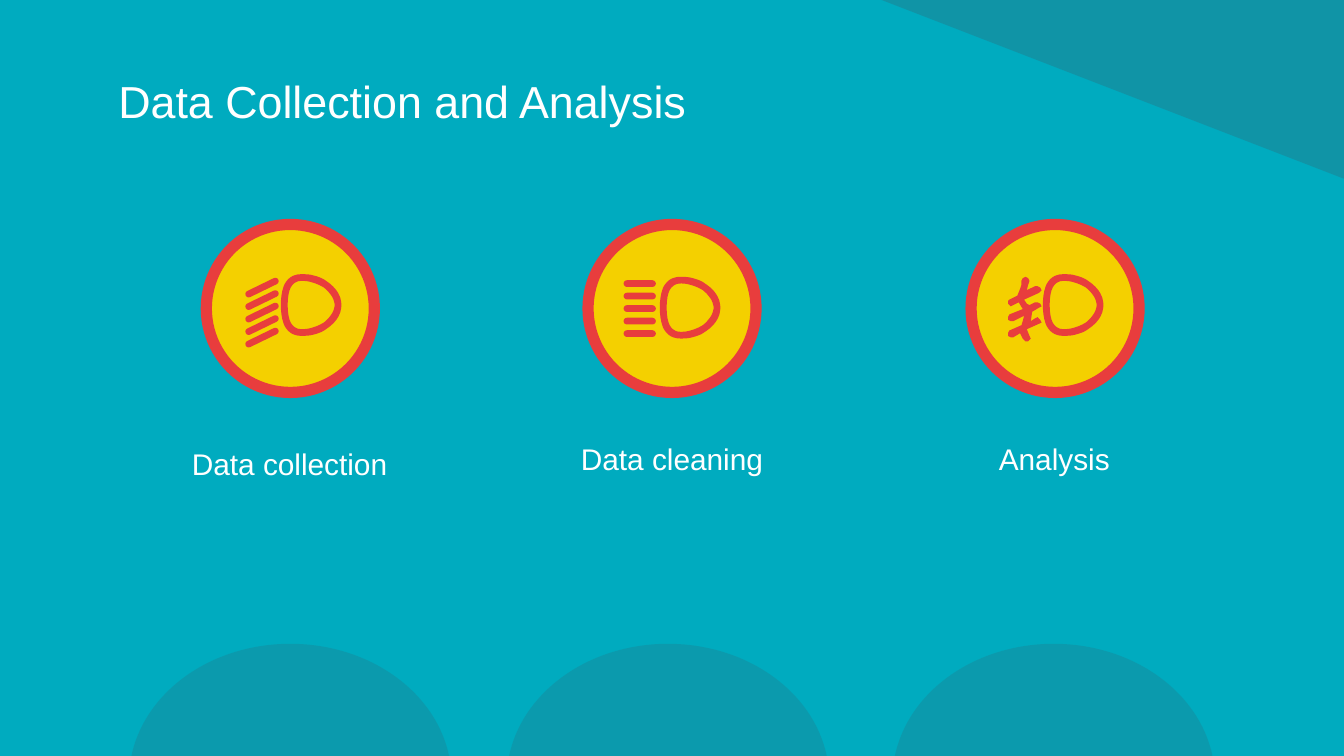
from lxml.etree import SubElement
from pptx import Presentation
from pptx.dml.color import RGBColor
from pptx.enum.shapes import MSO_SHAPE
from pptx.enum.text import MSO_ANCHOR, MSO_AUTO_SIZE, PP_ALIGN
from pptx.oxml.ns import qn
from pptx.util import Inches, Pt

WHITE, TEAL, SHADE, YELLOW, RED = "FFFFFF", "00ABBF", "336574", "F4D000", "E83D3D"
COLUMNS = [2.16, 5, 7.85]  # centre of each column
ICON_TOP, ICON_SIZE = 1.67, 1.25
BEAM_GAP = 0.093


def paint(sp, color, alpha=None, line=None):
    """Fill a shape, optionally translucent or with a (colour, width) outline."""
    sp.shadow.inherit = False
    sp.fill.solid()
    sp.fill.fore_color.rgb = RGBColor.from_string(color)
    if alpha:
        clr = sp._element.spPr.find(qn("a:solidFill"))[0]
        SubElement(clr, qn("a:alpha"), val=str(alpha * 1000))
    if line:
        sp.line.color.rgb = RGBColor.from_string(line[0])
        sp.line.width = Pt(line[1])
    else:
        sp.line.fill.background()


def outline(shapes, left, top, contours):
    """Draw closed contours, given in inches from left and top, as one shape."""
    scaled = [[(round((left + x) * 1000), round((top + y) * 1000)) for x, y in c]
              for c in contours]
    fb = shapes.build_freeform(*scaled[0][0], scale=914.4)
    for i, pts in enumerate(scaled):
        if i:
            fb.move_to(*pts[0])
        fb.add_line_segments(pts[1:], close=True)
    paint(fb.convert_to_shape(), RED)


prs = Presentation()
prs.slide_width, prs.slide_height = Inches(10), Inches(10 * 9 / 16)
s = prs.slides.add_slide(prs.slide_layouts.get_by_name("Comparison"))
s.background.fill.solid()
s.background.fill.fore_color.rgb = RGBColor.from_string(TEAL)

# Background decoration
for left in (0.96, 3.77, 6.64):
    paint(s.shapes.add_shape(MSO_SHAPE.OVAL, Inches(left), Inches(4.79),
                             Inches(2.4), Inches(2.02)), SHADE, alpha=23)
corner = s.shapes.add_shape(MSO_SHAPE.RIGHT_TRIANGLE, Inches(6.56), 0,
                            Inches(3.44), Inches(1.33))
corner.rotation = 180
paint(corner, SHADE, alpha=32)

# Title and captions: placeholder, text, box, size, alignment, spacing
left_fmt = {"alignment": PP_ALIGN.LEFT}
mid_fmt = {"alignment": PP_ALIGN.CENTER, "line_spacing": 1.0, "space_after": Pt(0)}
first_fmt = mid_fmt | {"line_spacing": 1.15, "space_after": Pt(16)}
texts = [
    (0, "Data Collection and Analysis", (0.78, 0.43, 8.44, 0.63), 24, left_fmt),
    (1, "Data collection", (0.83, 3.18, 2.65, 0.47), 16, first_fmt),
    (2, "Data cleaning", (3.74, 3.18, 2.52, 0.47), 16, mid_fmt),
    (3, "Analysis", (6.78, 3.18, 2.13, 0.47), 16, mid_fmt),
]
holders = {ph.placeholder_format.idx: ph for ph in s.placeholders}
for idx, text, box, size, fmt in texts:
    sp = holders.pop(idx)
    sp.left, sp.top, sp.width, sp.height = map(Inches, box)
    tf = sp.text_frame
    tf.text = text
    frame = {"word_wrap": True, "auto_size": MSO_AUTO_SIZE.NONE,
             "vertical_anchor": MSO_ANCHOR.TOP if idx else MSO_ANCHOR.MIDDLE}
    frame |= {f"margin_{side}": Inches(0.1) for side in ("left", "top", "right", "bottom")}
    for name, value in frame.items():
        setattr(tf, name, value)
    p = tf.paragraphs[0]
    for name, value in ({"space_before": Pt(0)} | fmt).items():
        setattr(p, name, value)
    pPr = p._p.get_or_add_pPr()
    pPr.set("marL", "0")
    pPr.set("indent", "0")
    SubElement(pPr, qn("a:buNone"))
    font = p.runs[0].font
    for name, value in {"size": Pt(size), "name": "Arial", "bold": False}.items():
        setattr(font, name, value)
    font.color.rgb = RGBColor.from_string(WHITE)
for ph in holders.values():
    ph._element.getparent().remove(ph._element)

# Lamp: upper halves of the outer and inner curves, mirrored downwards
lamp_curves = [
    [(0.45, 0.23), (0.45, 0.17), (0.42, 0.11), (0.35, 0.06), (0.3, 0.02), (0.23, 0),
     (0.16, 0), (0.1, 0), (0.06, 0.02), (0.03, 0.07), (0.01, 0.11), (0, 0.16), (0, 0.23)],
    [(0.4, 0.23), (0.4, 0.19), (0.37, 0.14), (0.32, 0.1), (0.27, 0.07), (0.21, 0.05),
     (0.16, 0.05), (0.11, 0.05), (0.05, 0.07), (0.05, 0.23)],
]
lamp = []
for curve in lamp_curves:
    upper = [curve[0]]
    for i in range(0, len(curve) - 1, 3):
        for t in (k / 10 for k in range(1, 11)):
            weights = ((1 - t) ** 3, 3 * t * (1 - t) ** 2, 3 * t * t * (1 - t), t ** 3)
            upper.append(tuple(sum(w * pt[axis] for w, pt in zip(weights, curve[i:i + 4]))
                               for axis in (0, 1)))
    lamp.append(upper + [(x, 0.46 - y) for x, y in reversed(upper[1:-1])])

# Fog beam: a wave crossed by three slanted bars
fog = [(0.13, 0), (0.11, 0.01), (0.1, 0.03), (0.1, 0.06), (0.09, 0.09), (0.07, 0.14),
       (0.01, 0.17), (0, 0.18), (0, 0.2), (0.02, 0.22), (0.04, 0.21), (0.08, 0.19),
       (0.11, 0.24), (0.01, 0.28), (0, 0.3), (0, 0.32), (0.02, 0.33), (0.04, 0.33),
       (0.12, 0.29), (0.11, 0.33), (0.1, 0.36), (0.01, 0.4), (0, 0.42), (0, 0.44),
       (0.02, 0.45), (0.04, 0.45), (0.09, 0.42), (0.11, 0.46), (0.13, 0.48), (0.15, 0.48),
       (0.16, 0.47), (0.17, 0.46), (0.16, 0.44), (0.14, 0.39), (0.23, 0.35),
       (0.25, 0.34), (0.24, 0.32), (0.22, 0.3), (0.2, 0.31), (0.17, 0.33), (0.18, 0.26),
       (0.23, 0.23), (0.25, 0.22), (0.24, 0.2), (0.22, 0.19), (0.2, 0.19), (0.16, 0.21),
       (0.14, 0.2), (0.12, 0.17), (0.23, 0.12), (0.25, 0.1), (0.24, 0.08), (0.22, 0.07),
       (0.2, 0.07), (0.14, 0.1), (0.15, 0.06), (0.16, 0.03), (0.15, 0.01)]

# Icons: lamp offset and top, then beam centre, length and rotation (None for fog)
icons = [
    ((-0.07, 2.04), (-0.21, 2.14, 0.27, -26)),
    ((-0.09, 2.06), (-0.24, 2.11, 0.24, 0)),
    ((-0.09, 2.04), None),
]
for center, ((dx, lamp_top), beam) in zip(COLUMNS, icons):
    disc = s.shapes.add_shape(MSO_SHAPE.OVAL, Inches(center - ICON_SIZE / 2),
                              Inches(ICON_TOP), Inches(ICON_SIZE), Inches(ICON_SIZE))
    paint(disc, YELLOW, line=(RED, 6))
    icon = s.shapes.add_group_shape().shapes
    outline(icon, center + dx, lamp_top, lamp)
    if beam is None:
        outline(icon, center - 0.35, 2.06, [fog])
        continue
    beam_dx, beam_y, length, angle = beam
    for row in range(5):
        bar = icon.add_shape(MSO_SHAPE.ROUNDED_RECTANGLE,
                             Inches(center + beam_dx - length / 2),
                             Inches(beam_y + row * BEAM_GAP - 0.025),
                             Inches(length), Inches(0.05))
        bar.adjustments[0] = 0.5
        bar.rotation = angle
        paint(bar, RED)

prs.save("out.pptx")
